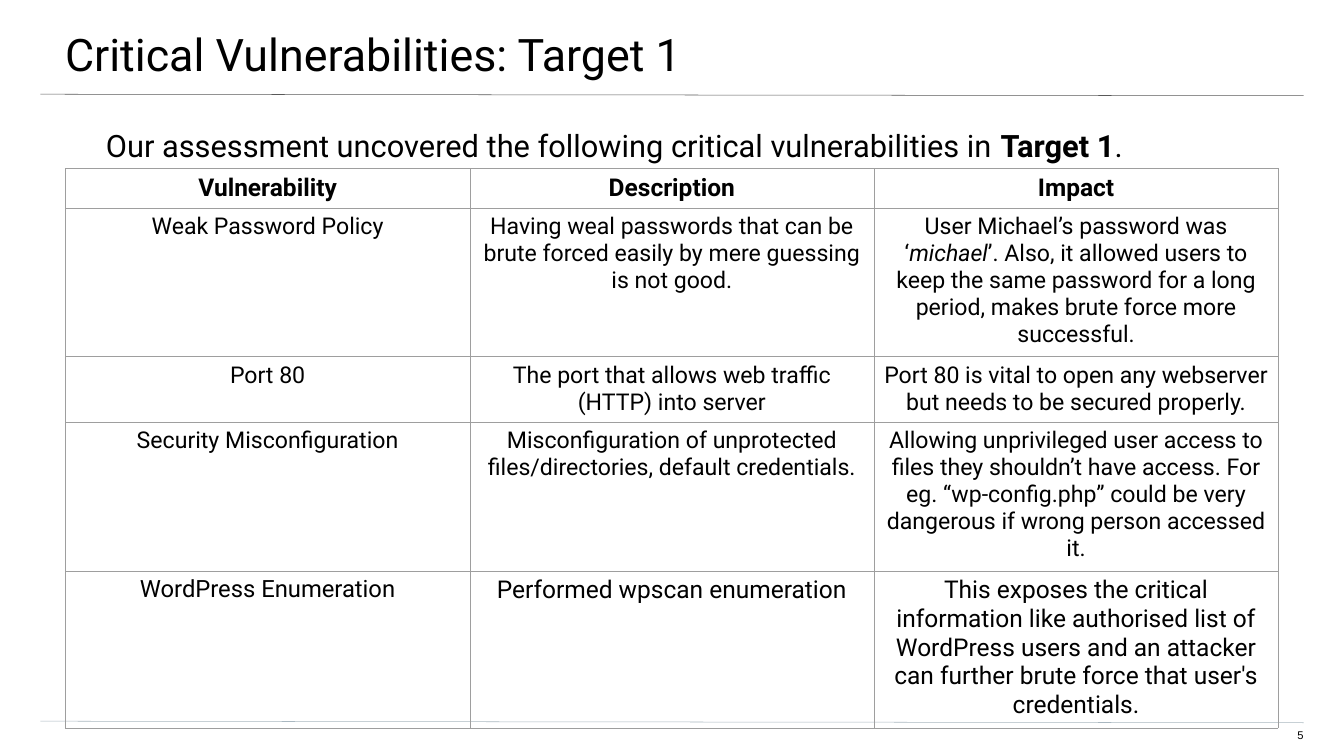
from lxml.etree import SubElement
from pptx import Presentation
from pptx.dml.color import RGBColor
from pptx.enum.shapes import MSO_CONNECTOR
from pptx.enum.text import MSO_ANCHOR, MSO_AUTO_SIZE, PP_ALIGN
from pptx.oxml.ns import qn
from pptx.util import Pt

COLORS = {"text": "000000", "title_rule": "595959", "footer_rule": "A9B7C0", "border": "9E9E9E"}


def write_text(frame, runs, size, font="Roboto", align=PP_ALIGN.LEFT, bold=False,
               insets=(7.2, 7.2, 7.2, 7.2)):
    """Fill a text frame with one paragraph; runs are (text, style) pairs or a string."""
    frame.word_wrap = True
    frame.margin_left, frame.margin_top, frame.margin_right, frame.margin_bottom = map(Pt, insets)
    frame.vertical_anchor = MSO_ANCHOR.TOP
    paragraph = frame.paragraphs[0]
    paragraph.alignment = align
    paragraph.space_before = Pt(0)
    for text, style in [(runs, "")] if isinstance(runs, str) else runs:
        run = paragraph.add_run()
        run.text = text
        run.font.name = font
        run.font.size = Pt(size)
        run.font.bold = bold or style == "bold"
        run.font.italic = style == "italic"
        run.font.color.rgb = RGBColor.from_string(COLORS["text"])
    return paragraph


def set_borders(cell, color, width):
    properties = cell._tc.get_or_add_tcPr()
    for side in ("a:lnL", "a:lnR", "a:lnT", "a:lnB"):
        line = SubElement(properties, qn(side), w=str(Pt(width)))
        fill = SubElement(line, qn("a:solidFill"))
        SubElement(fill, qn("a:srgbClr"), val=color)


presentation = Presentation()
presentation.slide_width = Pt(1919.5)
presentation.slide_height = Pt(1080)
slide = presentation.slides.add_slide(presentation.slide_layouts[1])

# Rules under the title and above the footer
for top, color in ((134.6, "title_rule"), (1030.3, "footer_rule")):
    rule = slide.shapes.add_connector(
        MSO_CONNECTOR.STRAIGHT, Pt(57.6), Pt(top), Pt(1861.9), Pt(top + 2.2))
    rule.line.color.rgb = RGBColor.from_string(COLORS[color])
    rule.line.width = Pt(0.75)
    SubElement(rule._element.spPr, qn("a:effectLst"))

# Title
title = slide.shapes.title
title.left, title.top, title.width, title.height = Pt(-2.9), Pt(0), Pt(1924.6), Pt(112.3)
title.text_frame.auto_size = MSO_AUTO_SIZE.NONE
write_text(title.text_frame, "Critical Vulnerabilities: Target 1", 64,
           insets=(95.8, 38.2, 57.6, 19.4))

# Introduction
body = slide.placeholders[1]
body.left, body.top, body.width, body.height = Pt(55.4), Pt(180.7), Pt(1806.5), Pt(776.9)
body.text_frame.auto_size = MSO_AUTO_SIZE.NONE
introduction = write_text(
    body.text_frame,
    [("Our assessment uncovered the following critical vulnerabilities in ", ""),
     ("Target 1", "bold"), (".", "")],
    44, insets=(95.8, 0, 95.8, 192.2))
paragraph_properties = introduction._p.get_or_add_pPr()
paragraph_properties.set("marL", "0")
paragraph_properties.set("indent", "0")
SubElement(paragraph_properties, qn("a:buNone"))

# Slide number
number = slide.shapes.add_textbox(Pt(1807.2), Pt(1041.1), Pt(54.7), Pt(22.3))
write_text(number.text_frame, "5", 16, font="Arial", align=PP_ALIGN.RIGHT,
           insets=(0, 0, 0, 19.4))

# Vulnerability table: text sizes of the three columns, then their contents
rows = [
    ((35, 35, 35), ("Vulnerability", "Description", "Impact")),
    ((33, 33, 33), (
        "Weak Password Policy",
        "Having weal passwords that can be brute forced easily by mere guessing is not good.",
        [("User Michael’s password was ‘", ""), ("michael", "italic"),
         ("’. Also, it allowed users to keep the same password for a long period, "
          "makes brute force more successful.", "")])),
    ((33, 33, 33), (
        "Port 80",
        "The port that allows web traffic (HTTP) into server",
        "Port 80 is vital to open any webserver but needs to be secured properly.")),
    ((33, 33, 33), (
        "Security Misconfiguration",
        "Misconfiguration of unprotected files/directories, default credentials.",
        "Allowing unprivileged user access to files they shouldn’t have access. For eg. "
        "“wp-config.php” could be very dangerous if wrong person accessed it.")),
    ((34, 35, 35), (
        "WordPress Enumeration",
        "Performed wpscan enumeration",
        "This exposes the critical information like authorised list of WordPress users "
        "and an attacker can further brute force that user's credentials.")),
]
row_height = 30  # minimum; rows grow with their text
table = slide.shapes.add_table(len(rows), 3, Pt(93.6), Pt(240.5), Pt(1732),
                               Pt(row_height * len(rows))).table
table.first_row = False
table.horz_banding = False
for row_index, (sizes, contents) in enumerate(rows):
    for column_index, (size, content) in enumerate(zip(sizes, contents)):
        cell = table.cell(row_index, column_index)
        set_borders(cell, COLORS["border"], 0.75)
        cell.fill.background()
        cell.margin_left = cell.margin_right = cell.margin_top = cell.margin_bottom = Pt(7.2)
        write_text(cell.text_frame, content, size, align=PP_ALIGN.CENTER, bold=row_index == 0)

presentation.save("out.pptx")
